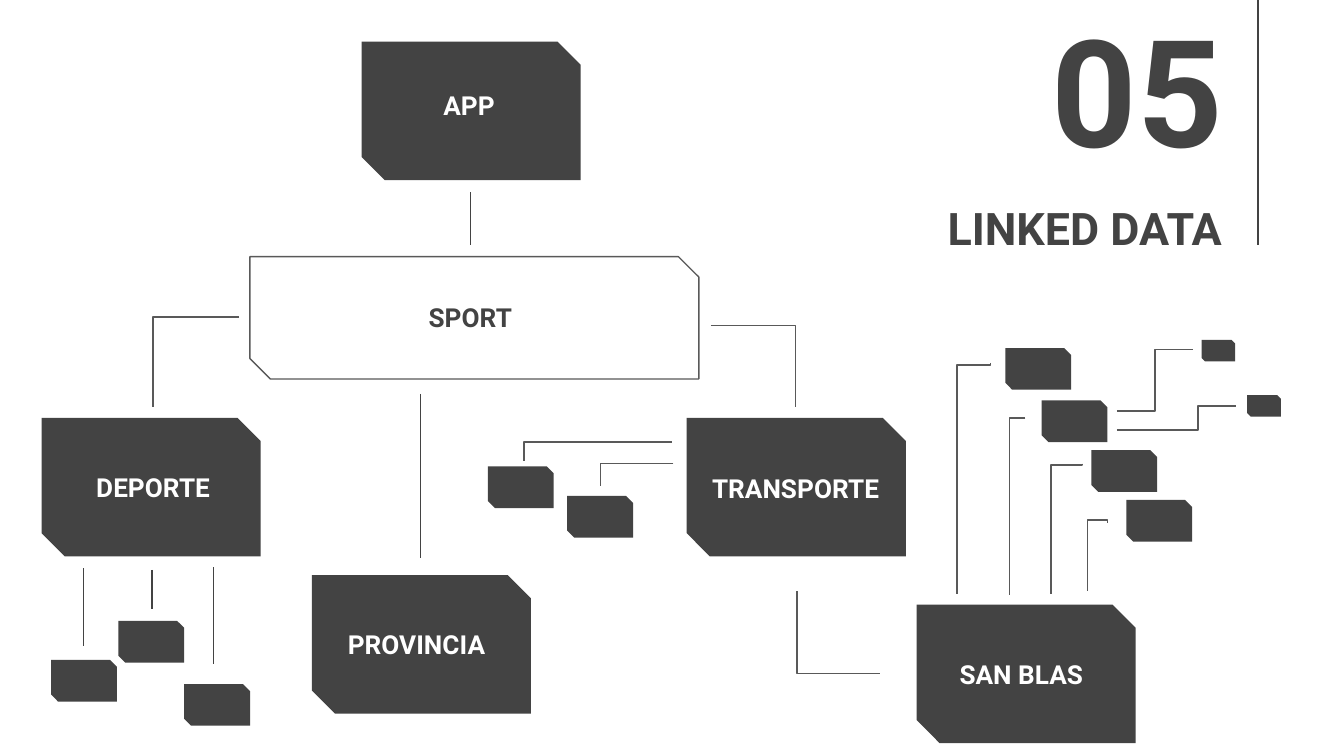
from dataclasses import dataclass

from lxml.etree import SubElement
from pptx import Presentation
from pptx.dml.color import RGBColor
from pptx.enum.shapes import MSO_CONNECTOR as Link, MSO_SHAPE as Preset
from pptx.enum.text import MSO_ANCHOR as Anchor, PP_ALIGN as Align
from pptx.oxml.ns import qn
from pptx.shapes.connector import Connector
from pptx.slide import Slide
from pptx.util import Inches, Pt

DARK = RGBColor(0x43, 0x43, 0x43)
GREY = RGBColor(0x59, 0x59, 0x59)
WHITE = RGBColor(0xFF, 0xFF, 0xFF)
FONT = "Roboto"


@dataclass
class Node:
    left: float
    top: float
    width: float = 1.63
    height: float = 1.03
    filled: bool = True


@dataclass
class Label:
    text: str
    left: float
    top: float
    width: float = 1.56
    height: float = 0.43
    size: int = 14
    color: RGBColor = WHITE
    align: Align = Align.CENTER
    anchor: Anchor = Anchor.BOTTOM


@dataclass
class Elbow:
    x1: float
    y1: float
    x2: float
    y2: float
    bend: float
    vertical: bool = False


MAIN_NODES = [
    Node(2.69, 0.31),
    Node(1.86, 1.91, 3.34, 0.91, filled=False),
    Node(0.31, 3.11),
    Node(5.11, 3.11),
    Node(2.32, 4.28),
    Node(6.82, 4.5),
]
SMALL_NODES = [
    Node(left, top, 0.49, 0.31)
    for left, top in [
        (3.63, 3.47), (4.22, 3.69),
        (0.38, 4.91), (0.88, 4.62), (1.37, 5.09),
        (7.48, 2.59), (7.75, 2.98), (8.12, 3.35), (8.38, 3.72),
    ]
]
TINY_NODES = [Node(left, top, 0.25, 0.16) for left, top in [(8.94, 2.53), (9.28, 2.94)]]

LABELS = [
    Label("APP", 2.71, 0.57),
    Label("SPORT", 2.72, 2.15, color=DARK),
    Label("DEPORTE", 0.36, 3.41),
    Label("TRANSPORTE", 5.14, 3.42),
    Label("PROVINCIA", 2.32, 4.58),
    Label("SAN BLAS", 6.82, 4.8),
    Label("05", 7.57, 0.24, 1.63, 0.82, 80, DARK, Align.RIGHT, Anchor.MIDDLE),
    Label("LINKED DATA", 6.21, 1.28, 2.98, 0.82, 24, DARK, Align.RIGHT, Anchor.MIDDLE),
]

VERTICAL_LINES = [
    (9.36, 0, 1.82),
    (3.5, 1.43, 1.82),
    (3.13, 2.93, 4.15),
    (0.62, 4.23, 4.81),
    (1.13, 4.24, 4.53),
    (1.59, 4.22, 4.94),
]
ELBOWS = [
    Elbow(1.78, 2.36, 1.14, 3.03, 0, vertical=True),
    Elbow(5.29, 2.42, 5.92, 3.03, 1),
    Elbow(5.93, 4.4, 6.55, 5.01, 0),
    Elbow(5, 3.29, 3.9, 3.43, 1),
    Elbow(5.01, 3.45, 4.47, 3.62, 1),
    Elbow(7.37, 2.7, 7.12, 4.42, 0.01, vertical=True),
    Elbow(7.63, 3.11, 7.51, 4.43, 0, vertical=True),
    Elbow(8.05, 3.45, 7.82, 4.42, 0.01, vertical=True),
    Elbow(8.24, 3.89, 8.09, 4.4, -0.04, vertical=True),
    Elbow(8.31, 3.06, 8.88, 2.6, 0.5),
    Elbow(8.31, 3.2, 9.2, 3.02, 0.68),
]


def draw_node(page: Slide, node: Node) -> None:
    shape = page.shapes.add_shape(
        Preset.SNIP_2_DIAG_RECTANGLE,
        Inches(node.left), Inches(node.top), Inches(node.width), Inches(node.height),
    )
    shape.shadow.inherit = False
    if node.filled:
        shape.fill.solid()
        shape.fill.fore_color.rgb = DARK
        shape.line.fill.background()
    else:
        shape.fill.background()
        shape.line.color.rgb = GREY
        shape.line.width = Pt(0.75)


def draw_label(page: Slide, label: Label) -> None:
    box = page.shapes.add_textbox(
        Inches(label.left), Inches(label.top), Inches(label.width), Inches(label.height)
    )
    frame = box.text_frame
    frame.word_wrap = True
    frame.vertical_anchor = label.anchor
    frame.margin_left = frame.margin_right = Inches(0.1)
    frame.margin_top = frame.margin_bottom = Inches(0.1)
    para = frame.paragraphs[0]
    para.text = label.text
    para.alignment = label.align
    para.font.name = FONT
    para.font.size = Pt(label.size)
    para.font.bold = True
    para.font.color.rgb = label.color


def draw_link(
    page: Slide, kind: Link, x1: float, y1: float, x2: float, y2: float, color: RGBColor
) -> Connector:
    link = page.shapes.add_connector(kind, Inches(x1), Inches(y1), Inches(x2), Inches(y2))
    link.line.color.rgb = color
    link.line.width = Pt(0.75)
    SubElement(link._element.spPr, qn("a:effectLst"))
    return link


def draw_elbow(page: Slide, elbow: Elbow) -> None:
    x1, y1, x2, y2 = elbow.x1, elbow.y1, elbow.x2, elbow.y2
    if elbow.vertical:
        middle_x, middle_y = (x1 + x2) / 2, (y1 + y2) / 2
        half_width, half_height = (y2 - y1) / 2, (x1 - x2) / 2
        x1, x2 = middle_x - half_width, middle_x + half_width
        y1, y2 = middle_y - half_height, middle_y + half_height
    link = draw_link(page, Link.ELBOW, x1, y1, x2, y2, GREY)
    properties = link._element.spPr
    if elbow.vertical:
        properties.find(qn("a:xfrm")).set("rot", str(90 * 60000))
    guides = properties.find(qn("a:prstGeom")).find(qn("a:avLst"))
    SubElement(guides, qn("a:gd"), name="adj1", fmla=f"val {round(elbow.bend * 100000)}")


def main() -> None:
    """Build the linked data diagram slide."""
    deck = Presentation()
    deck.slide_width = Inches(10)
    deck.slide_height = Inches(10 * 9 / 16)
    page = deck.slides.add_slide(deck.slide_layouts[6])
    for node in MAIN_NODES + SMALL_NODES + TINY_NODES:
        draw_node(page, node)
    for x, top, bottom in VERTICAL_LINES:
        draw_link(page, Link.STRAIGHT, x, top, x, bottom, DARK)
    for elbow in ELBOWS:
        draw_elbow(page, elbow)
    for label in LABELS:
        draw_label(page, label)
    deck.save("out.pptx")


if __name__ == "__main__":
    main()
